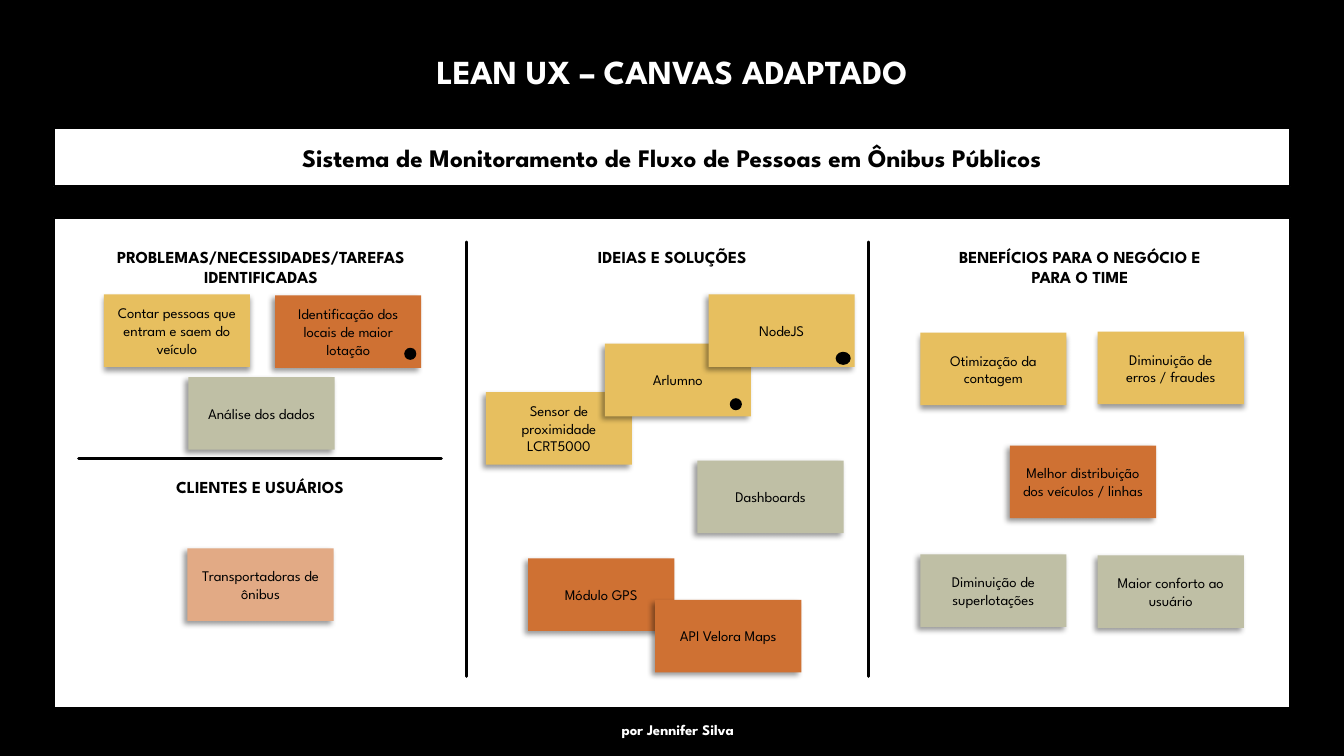
from lxml import etree
from pptx import Presentation, util as u
from pptx.dml.color import RGBColor
from pptx.enum import shapes, text
from pptx.oxml import parse_xml
from pptx.oxml.ns import nsdecls, qn

COLORS = {
    "black": "000000", "white": "FFFFFF", "yellow": "E7BF5F",
    "orange": "CF7133", "sage": "BFBFA5", "peach": "E2AA85",
}
FONT = "League Spartan"
COLS, ROWS = 160, 90
NOTE_W, NOTE_H = 17.4, 8.64
RECT, OVAL = shapes.MSO_SHAPE.RECTANGLE, shapes.MSO_SHAPE.OVAL


def rgb(name):
    return RGBColor.from_string(COLORS[name])


def write(tf, content, size=10.5, color="black", bold=False,
          anchor=text.MSO_ANCHOR.MIDDLE, fit=text.MSO_AUTO_SIZE.NONE):
    tf.word_wrap = True
    tf.auto_size = fit
    tf.vertical_anchor = anchor
    p = tf.paragraphs[0]
    p.alignment = text.PP_ALIGN.CENTER
    p.line_spacing = 1.0
    r = p.add_run()
    r.text = content
    r.font.name = FONT
    r.font.size = u.Pt(size)
    r.font.bold = bold
    r.font.color.rgb = rgb(color)


class Canvas:
    """Draws styled elements on one slide, measured in grid columns and rows."""

    def __init__(self, prs):
        self.dx = prs.slide_width / COLS
        self.dy = prs.slide_height / ROWS
        self.s = prs.slides.add_slide(prs.slide_layouts[5])
        self.s.background.fill.solid()
        self.s.background.fill.fore_color.rgb = rgb("black")

    def box(self, x, y, w, h):
        return [round(v) for v in (x * self.dx, y * self.dy, w * self.dx, h * self.dy)]

    def title(self, content, *place):
        sp = self.s.shapes.title
        sp.left, sp.top, sp.width, sp.height = self.box(*place)
        write(sp.text_frame, content, size=24, color="white", bold=True,
              anchor=text.MSO_ANCHOR.TOP, fit=text.MSO_AUTO_SIZE.SHAPE_TO_FIT_TEXT)

    def label(self, content, *place, **style):
        sp = self.s.shapes.add_textbox(*self.box(*place))
        write(sp.text_frame, content, bold=True, anchor=text.MSO_ANCHOR.TOP,
              fit=text.MSO_AUTO_SIZE.SHAPE_TO_FIT_TEXT, **style)

    def shape(self, kind, fill, *place, parent=None, outline=False):
        sp = (parent or self.s).shapes.add_shape(kind, *self.box(*place))
        sp.shadow.inherit = False
        sp.fill.solid()
        sp.fill.fore_color.rgb = rgb(fill)
        if outline:
            sp.line.color.rgb = rgb("black")
            sp.line.width = u.Pt(1.5)
        else:
            sp.line.fill.background()
        return sp

    def rule(self, x1, y1, x2, y2):
        ends = self.box(x1, y1, x2, y2)
        c = self.s.shapes.add_connector(shapes.MSO_CONNECTOR.STRAIGHT, *ends)
        c.line.color.rgb = rgb("black")
        c.line.width = u.Pt(2)
        c.line._get_or_add_ln().set("cap", "rnd")
        etree.SubElement(c._element.spPr, qn("a:effectLst"))

    def note(self, content, fill, x, y, angle=135, dot=None):
        parent = self.s.shapes.add_group_shape() if dot else self.s
        sp = self.shape(RECT, fill, x, y, NOTE_W, NOTE_H, parent=parent)
        write(sp.text_frame, content)
        effects = sp._element.spPr.find(qn("a:effectLst"))
        effects.append(parse_xml(
            f'<a:outerShdw {nsdecls("a")} blurRad="{u.Pt(4)}" dist="{u.Pt(3)}" '
            f'dir="{angle * 60000}" algn="t" rotWithShape="0">'
            f'<a:srgbClr val="{COLORS["black"]}"><a:alpha val="40000"/></a:srgbClr>'
            '</a:outerShdw>'))
        if dot:
            right, down, w, h = dot
            self.shape(OVAL, "black", x + right, y + down, w, h, parent=parent)


HEADINGS = [
    ("PROBLEMAS/NECESSIDADES/TAREFAS IDENTIFICADAS", 11.52, 28.8, 39.12, 6),
    ("BENEFÍCIOS PARA O NEGÓCIO E PARA O TIME", 112.2, 28.8, 32.76, 6),
    ("IDEIAS E SOLUÇÕES", 59.52, 28.8, 41.04, 3.6),
    ("CLIENTES E USUÁRIOS", 10.44, 56.16, 41.04, 3.6),
]
RULES = [
    (55.56, 28.8, 55.56, 80.52),
    (103.44, 28.8, 103.44, 80.52),
    (52.56, 54.6, 9.36, 54.6),
]
NOTES = [
    ("Contar pessoas que entram e saem do veículo", "yellow", 12.36, 35.04, 90),
    ("Sensor de proximidade LCRT5000", "yellow", 57.84, 46.68),
    ("Diminuição de erros / fraudes", "yellow", 130.68, 39.48, 90),
    ("Otimização da contagem", "yellow", 109.56, 39.6, 90),
    ("Módulo GPS", "orange", 62.88, 66.48),
    ("Análise dos dados", "sage", 22.44, 44.88),
    ("Maior conforto ao usuário", "sage", 130.68, 66.12),
    ("Diminuição de superlotações", "sage", 109.56, 66),
    ("Dashboards", "sage", 83.04, 54.84),
    ("Transportadoras de ônibus", "peach", 22.32, 65.28),
    ("Arlumno", "yellow", 72, 40.92, 135, (14.88, 6.48, 1.44, 1.44)),
    ("NodeJS", "yellow", 84.36, 35.04, 135, (15.12, 6.84, 1.8, 1.56)),
    ("Identificação dos locais de maior lotação", "orange", 32.76, 35.16, 135,
     (15.36, 6.24, 1.44, 1.44)),
    ("Melhor distribuição dos veículos / linhas", "orange", 120.24, 53.04),
    ("API Velora Maps", "orange", 78, 71.4),
]


def main():
    prs = Presentation()
    prs.slide_width, prs.slide_height = u.Inches(13.33), u.Inches(7.5)
    canvas = Canvas(prs)
    canvas.title("LEAN UX – CANVAS ADAPTADO", 6.4, 5.4, 147.2, 6)
    canvas.shape(RECT, "white", 6.4, 25.92, 147.2, 58.44, outline=True)
    banner = canvas.shape(RECT, "white", 6.4, 15.24, 147.2, 6.96, outline=True)
    write(banner.text_frame,
          "Sistema de Monitoramento de Fluxo de Pessoas em Ônibus Públicos",
          size=18, bold=True)
    for rule in RULES:
        canvas.rule(*rule)
    for heading in HEADINGS:
        canvas.label(*heading, size=12)
    for note in NOTES:
        canvas.note(*note)
    canvas.label("por Jennifer Silva", 67.08, 85.2, 27.24, 3.36, color="white")
    prs.save("out.pptx")


if __name__ == "__main__":
    main()
